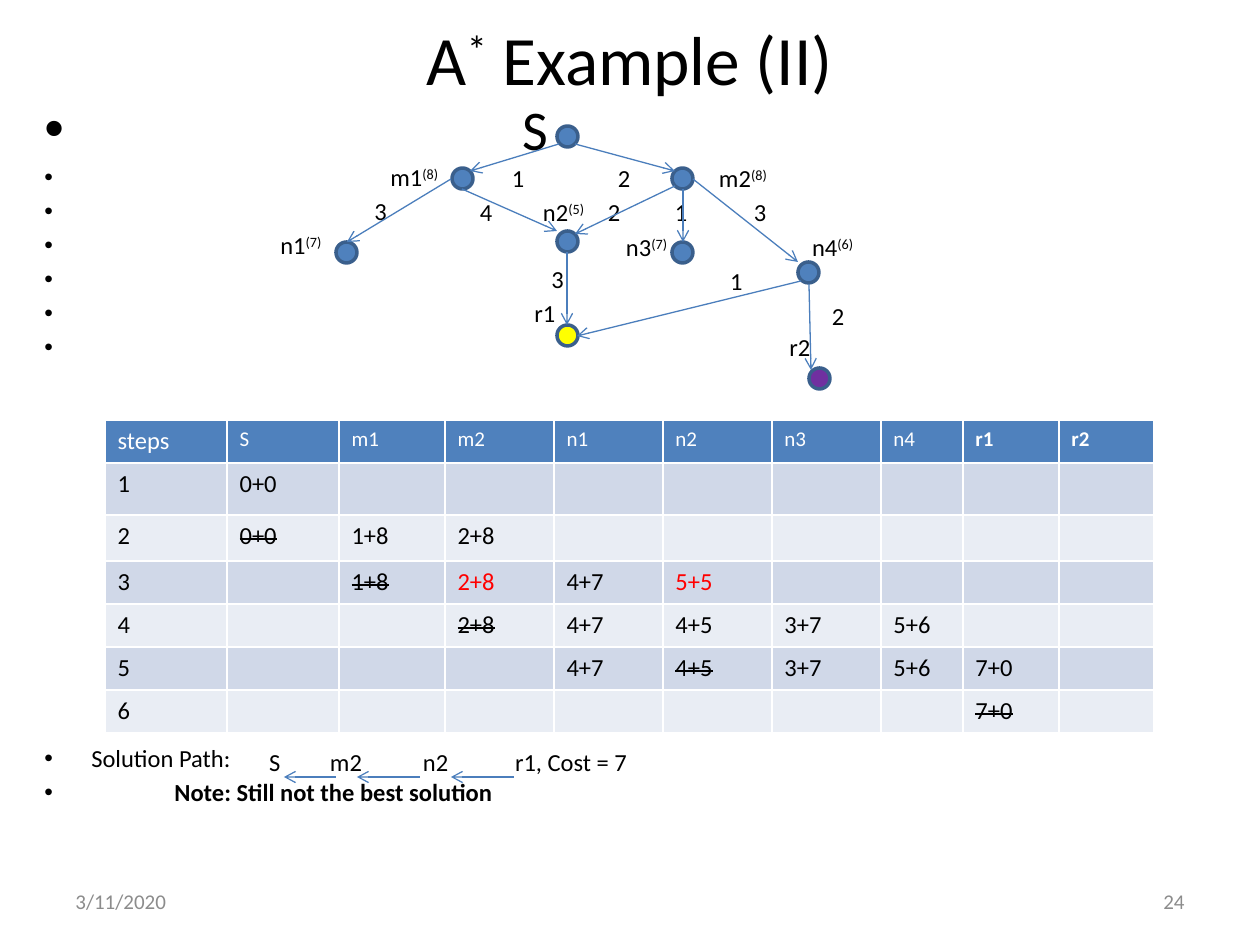
from pptx import Presentation
from pptx.dml.color import RGBColor
from pptx.enum.shapes import MSO_CONNECTOR, MSO_SHAPE
from pptx.enum.text import MSO_ANCHOR, PP_ALIGN
from pptx.oxml.ns import qn
from pptx.util import Pt
from lxml.etree import SubElement

SCALE = 914400 // 126
COLORS = {
    "black": "000000", "white": "FFFFFF", "gray": "8C8C8C", "red": "FF0000",
    "blue": "4F81BD", "outline": "3A5F8C", "arrow": "4B7EBC",
    "yellow": "FFFF00", "purple": "7030A0", "band1": "D0D8E8", "band2": "E9EDF4",
}
BODY_LEFT, BODY_TOP, NODE = 44, 88, 21
BODY = [
    ("S", 522, 32, 0, False),
    ("m1^(8)", 390, 14, 0.3, False),
    ("3", 374, 14, 2.6, False),
    ("n1^(7)", 280, 14, 2.6, False),
    ("3", 551, 14, 2.6, False),
    ("r1", 534, 14, 2.6, False),
    ("r2", 789, 14, 2.6, False),
    ("Solution Path:", 91, 14, 218.3, False),
    ("Note: Still not the best solution", 174, 14, 2.6, True),
]
LABELS = {
    163: [("1", 512), ("2", 618), ("m2^(8)", 719)],
    197: [("4", 480), ("n2^(5)", 543), ("2", 608), ("1", 675), ("3", 754)],
    232: [("n3^(7)", 626), ("n4^(6)", 812)],
    266: [("1", 730)],
    301: [("2", 832)],
    747: [("S", 269), ("m2", 330), ("n2", 423), ("r1, Cost = 7", 515)],
}
NODES = [
    (557, 126, "blue"), (452, 168, "blue"), (672, 168, "blue"),
    (557, 231, "blue"), (557, 325, "yellow"), (798, 262, "blue"),
    (809, 368, "purple"), (336, 242, "blue"), (672, 242, "blue"),
]
ARROWS = [
    (559, 144, 470, 171), (575, 144, 675, 171), (462, 189, 557, 231),
    (675, 186, 575, 234), (567, 252, 567, 325), (451, 179, 347, 242),
    (693, 179, 798, 262), (801, 281, 577, 336), (809, 284, 811, 370),
    (683, 189, 683, 242), (336, 777, 284, 777), (420, 777, 357, 777),
    (514, 777, 451, 777),
]
COLUMNS = [122, 112, 106, 109, 109, 109, 109, 82, 96, 95]
ROWS = [43, 52, 46, 43, 43, 43, 43]
STEPS = [
    ["steps", "S", "m1", "m2", "n1", "n2", "n3", "n4", "r1", "r2"],
    ["1", "0+0"],
    ["2", "-0+0", "1+8", "2+8"],
    ["3", "", "-1+8", "!2+8", "4+7", "!5+5"],
    ["4", "", "", "-2+8", "4+7", "4+5", "3+7", "5+6"],
    ["5", "", "", "", "4+7", "-4+5", "3+7", "5+6", "7+0"],
    ["6", "", "", "", "", "", "", "", "-7+0"],
]


def px(n):
    return round(n * SCALE)


def rgb(name):
    return RGBColor.from_string(COLORS[name])


def add_runs(p, text, size, color="black", bold=False, strike=False):
    for i, part in enumerate(text.split("^")):
        r = p.add_run()
        r.text = part
        for name, value in {"name": "Calibri", "size": Pt(size), "bold": bold}.items():
            setattr(r.font, name, value)
        r.font.color.rgb = rgb(color)
        if i % 2:
            r._r.get_or_add_rPr().set("baseline", "30000")
        if strike:
            r._r.get_or_add_rPr().set("strike", "sngStrike")


def add_frame(s, x, y, w, h, inset=True, **fmt):
    tf = s.shapes.add_textbox(px(x), px(y), px(w), px(h)).text_frame
    margins = {} if inset else dict.fromkeys(
        ("margin_left", "margin_top", "margin_right", "margin_bottom"), 0)
    for name, value in {"word_wrap": True, **margins, **fmt}.items():
        setattr(tf, name, value)
    return tf


def add_line_of_text(s, box, text, size, color="black", align=PP_ALIGN.LEFT):
    tf = add_frame(s, *box, vertical_anchor=MSO_ANCHOR.MIDDLE)
    p = tf.paragraphs[0]
    p.alignment = align
    add_runs(p, text, size, color)


def add_body(s):
    tf = add_frame(s, 32, BODY_TOP, 1197, 783)
    for i, (text, x, size, before, bold) in enumerate(BODY):
        p = tf.add_paragraph() if i else tf.paragraphs[0]
        p.space_before = Pt(before)
        pPr = p._p.get_or_add_pPr()
        indent = px(x - BODY_LEFT)
        pPr.set("marL", str(indent))
        pPr.set("indent", str(-indent))
        SubElement(pPr, qn("a:buFont")).set("typeface", "Arial")
        SubElement(pPr, qn("a:buChar")).set("char", "•")
        add_runs(p, text, size, bold=bold)


def add_label(s, x, y, text):
    tf = add_frame(s, x, y, 160, 30, inset=False, word_wrap=False)
    add_runs(tf.paragraphs[0], text, 14)


def add_node(s, x, y, color):
    sp = s.shapes.add_shape(MSO_SHAPE.OVAL, px(x), px(y), px(NODE), px(NODE))
    sp.shadow.inherit = False
    sp.fill.solid()
    sp.fill.fore_color.rgb = rgb(color)
    sp.line.color.rgb = rgb("outline")
    sp.line.width = Pt(2)


def add_arrow(s, *ends):
    cx = s.shapes.add_connector(MSO_CONNECTOR.STRAIGHT, *map(px, ends))
    cx.line.color.rgb = rgb("arrow")
    cx.line.width = Pt(0.75)
    SubElement(cx.line._get_or_add_ln(), qn("a:tailEnd")).set("type", "arrow")
    SubElement(cx._element.spPr, qn("a:effectLst"))


def fill_cell(cell, text, row, col):
    cell.fill.solid()
    cell.fill.fore_color.rgb = rgb("band2" if row % 2 == 0 else "band1") if row else rgb("blue")
    p = cell.text_frame.paragraphs[0]
    if not text:
        SubElement(p._p, qn("a:endParaRPr")).set("sz", "1400")
    elif row == 0:
        add_runs(p, text, 12 if col else 14, "white", bold=col > 7)
    else:
        color = "red" if text[0] == "!" else "black"
        add_runs(p, text.lstrip("!-"), 14, color, strike=text[0] == "-")


def add_steps(s):
    table = s.shapes.add_table(len(ROWS), len(COLUMNS), px(105), px(420),
                               px(sum(COLUMNS)), px(sum(ROWS))).table
    for column, width in zip(table.columns, COLUMNS):
        column.width = px(width)
    for i, (height, texts) in enumerate(zip(ROWS, STEPS)):
        table.rows[i].height = px(height)
        for j in range(len(COLUMNS)):
            fill_cell(table.cell(i, j), texts[j] if j < len(texts) else "", i, j)


def main():
    prs = Presentation()
    prs.slide_width, prs.slide_height = px(1260), px(945)
    s = prs.slides.add_slide(prs.slide_layouts[6])
    add_body(s)
    add_line_of_text(s, (63, 21, 1134, 73), "A^*^ Example (II)", 39.6, align=PP_ALIGN.CENTER)
    add_line_of_text(s, (63, 876, 294, 50), "3/11/2020", 12, "gray")
    add_line_of_text(s, (903, 876, 294, 50), "24", 12, "gray", PP_ALIGN.RIGHT)
    for y, labels in LABELS.items():
        for text, x in labels:
            add_label(s, x, y, text)
    for node in NODES:
        add_node(s, *node)
    for arrow in ARROWS:
        add_arrow(s, *arrow)
    add_steps(s)
    prs.save("out.pptx")


main()
